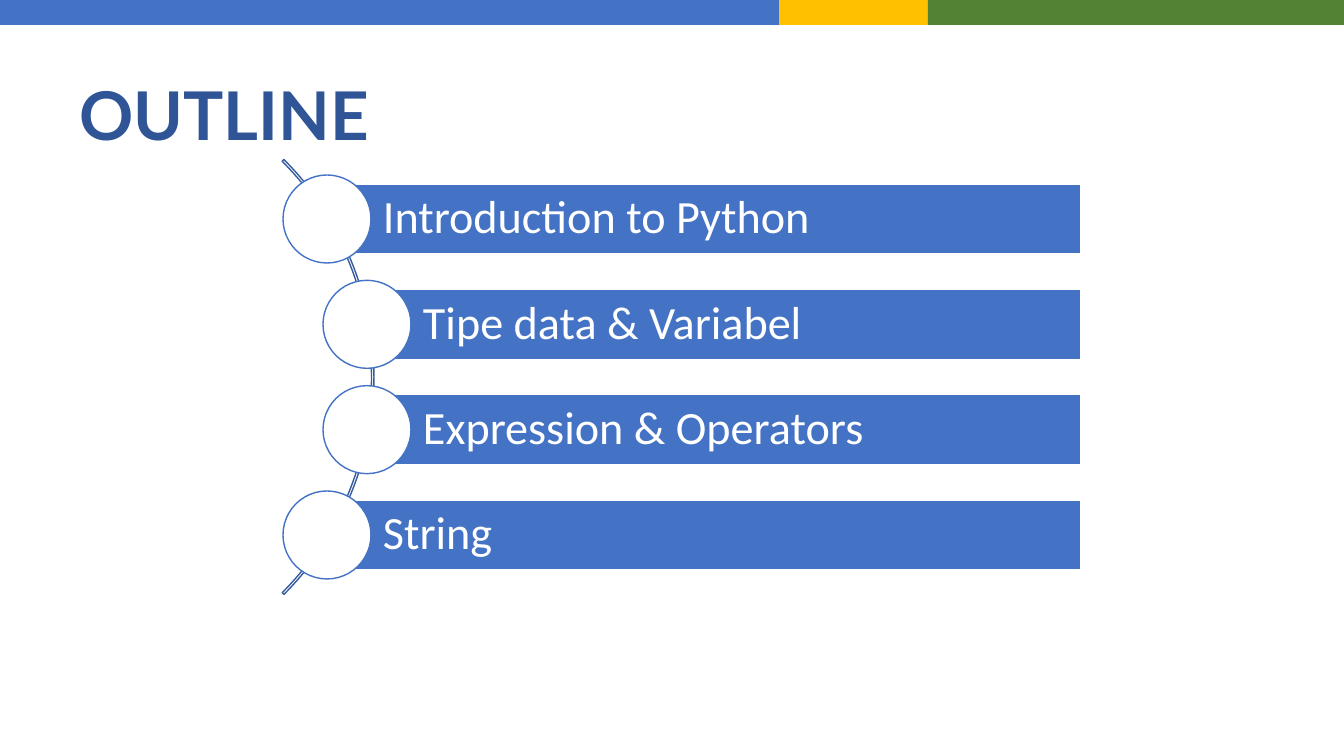
from pptx import Presentation
from pptx.dml.color import RGBColor
from pptx.enum.shapes import MSO_SHAPE
from pptx.enum.text import MSO_ANCHOR, MSO_AUTO_SIZE, PP_ALIGN
from pptx.util import Emu, Pt

TITLE = "OUTLINE"
TOPICS = [
    ("Introduction to Python", 283),
    ("Tipe data & Variabel", 323),
    ("Expression & Operators", 323),
    ("String", 283),
]
BAND = [("blue", 779), ("yellow", 149), ("green", 416)]
COLORS = {
    "blue": "4472C4", "yellow": "FFC000", "green": "548235",
    "navy": "2F5597", "arc": "365B9D", "white": "FFFFFF",
}
TITLE_FONT = {"name": "Lato", "size": Pt(48), "bold": True}
TOPIC_FONT = {"name": "Calibri", "size": Pt(33), "bold": False}

SLIDE_W, SLIDE_H = 1344, 756
BAND_H = 25
CENTER_Y = 377
PITCH = 316 / 3
BAR_H, BAR_RIGHT = 70, 1081
DOT = 88
ARC_LEFT, ARC = -241, 615


def px(n):
    return Emu(round(n * 9144000 / 1008))


def color(name):
    return RGBColor.from_string(COLORS[name])


def add_shape(s, kind, box, fill=None, line=None):
    sp = s.shapes.add_shape(kind, *map(px, box))
    sp.shadow.inherit = False
    if fill:
        sp.fill.solid()
        sp.fill.fore_color.rgb = color(fill)
    else:
        sp.fill.background()
    if line:
        sp.line.color.rgb = color(line)
        sp.line.width = Pt(1)
    else:
        sp.line.fill.background()
    return sp


def set_text(sp, text, font, font_color, frame):
    tf = sp.text_frame
    for key, value in frame.items():
        setattr(tf, key, value)
    p = tf.paragraphs[0]
    p.alignment = PP_ALIGN.LEFT
    r = p.add_run()
    r.text = text
    for key, value in font.items():
        setattr(r.font, key, value)
    r.font.color.rgb = color(font_color)
    return p


def main():
    prs = Presentation()
    prs.slide_width, prs.slide_height = px(SLIDE_W), px(SLIDE_H)
    s = prs.slides.add_slide(prs.slide_layouts[5])

    title = s.shapes.title
    title.left, title.top, title.width, title.height = map(px, (69, 68, 479, 92))
    set_text(title, TITLE, TITLE_FONT, "navy", {
        "vertical_anchor": MSO_ANCHOR.TOP, "word_wrap": True,
        "auto_size": MSO_AUTO_SIZE.NONE,
    })

    x = 0
    for fill, width in BAND:
        add_shape(s, MSO_SHAPE.RECTANGLE, (x, 0, width, BAND_H), fill)
        x += width

    arc = add_shape(s, MSO_SHAPE.BLOCK_ARC,
                    (ARC_LEFT, CENTER_Y - ARC / 2, ARC, ARC), line="arc")
    for i, value in enumerate((189, 27, 0.004)):
        arc.adjustments[i] = value

    bar_frame = {
        "vertical_anchor": MSO_ANCHOR.MIDDLE, "word_wrap": True,
        "margin_left": px(56), "margin_right": px(9),
        "margin_top": px(9), "margin_bottom": px(9),
    }
    for i, (topic, dot_x) in enumerate(TOPICS):
        y = CENTER_Y + (i - (len(TOPICS) - 1) / 2) * PITCH
        bar_x = dot_x + DOT / 2
        bar = add_shape(s, MSO_SHAPE.RECTANGLE,
                        (bar_x, y - BAR_H / 2, BAR_RIGHT - bar_x, BAR_H), "blue", "white")
        p = set_text(bar, topic, TOPIC_FONT, "white", bar_frame)
        p.line_spacing = 0.9
        add_shape(s, MSO_SHAPE.OVAL, (dot_x, y - DOT / 2, DOT, DOT), "white", "blue")

    prs.save("out.pptx")


if __name__ == "__main__":
    main()
